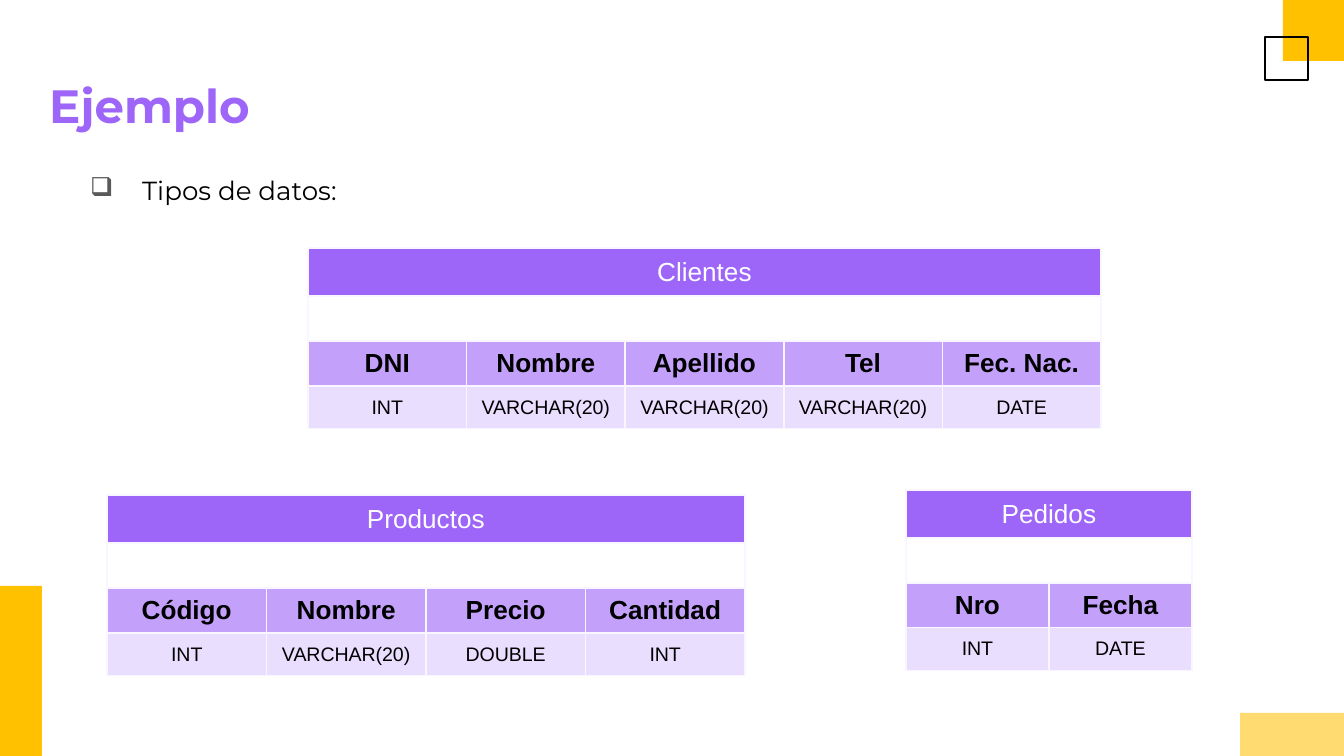
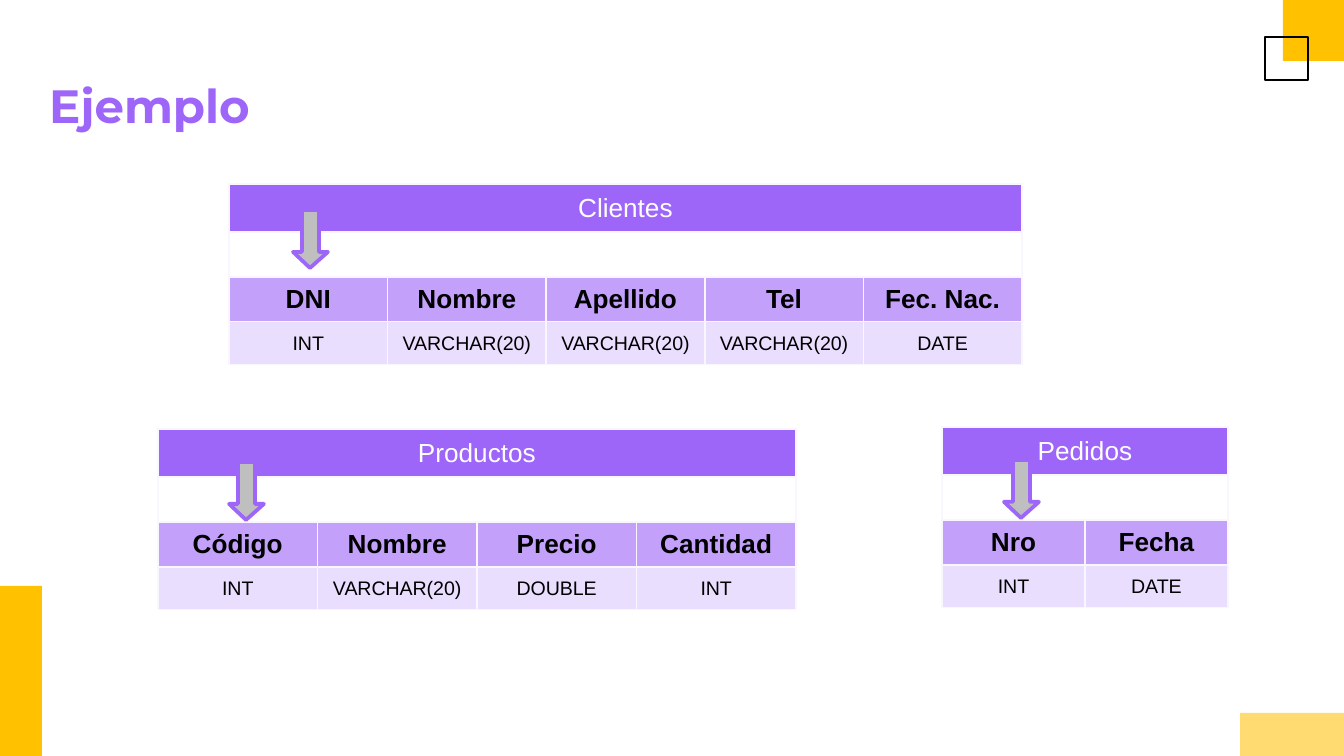
from lxml import etree
from pptx import Presentation
from pptx import util as u
from pptx.dml.color import RGBColor
from pptx.enum import shapes, text
from pptx.oxml import ns

PX = 9144000 / 1344

HEX = {
    "gold": "FFC100", "sand": "FFDB71", "violet": "9D66F9",
    "lilac": "C3A1FB", "pale": "EADEFE", "edge": "F9F6FF",
    "white": "FFFFFF", "black": "000000", "gray": "BFBFBF", "bullet": "595959",
}

TITLE = {"name": "Montserrat", "size": u.Pt(25), "bold": True}
BODY = {"name": "Montserrat", "size": u.Pt(14), "bold": False}
NAME = {"name": "Arial", "size": u.Pt(14), "bold": False}
FIELD = {"name": "Arial", "size": u.Pt(14), "bold": True}
TYPE = {"name": "Arial", "size": u.Pt(10.5), "bold": False}

# table name: (width, fields, types)
TABLES = {
    "Clientes": (793, ["DNI", "Nombre", "Apellido", "Tel", "Fec. Nac."],
                 ["INT", "VARCHAR(20)", "VARCHAR(20)", "VARCHAR(20)", "DATE"]),
    "Productos": (638, ["Código", "Nombre", "Precio", "Cantidad"],
                  ["INT", "VARCHAR(20)", "DOUBLE", "INT"]),
    "Pedidos": (286, ["Nro", "Fecha"], ["INT", "DATE"]),
}
ROWS = (48, 27, 43, 43)
ARROW = [(9, 0), (9, 42), (0, 42), (17, 58), (35, 42), (26, 42), (26, 0)]


def px(n):
    return u.Emu(round(n * PX))


def rgb(key):
    return RGBColor.from_string(HEX[key])


def apply(item, form):
    for key, val in form.items():
        setattr(item, key, val)


def write(par, words, form, color):
    run = par.add_run()
    run.text = words
    apply(run.font, form)
    run.font.color.rgb = rgb(color)


def paint(shape, fill=None, line=None, width=1.5):
    shape.shadow.inherit = False
    if fill:
        shape.fill.solid()
        shape.fill.fore_color.rgb = rgb(fill)
    else:
        shape.fill.background()
    if line:
        shape.line.color.rgb = rgb(line)
        shape.line.width = u.Pt(width)
    else:
        shape.line.fill.background()


def box(slide, area, **look):
    shape = slide.shapes.add_shape(shapes.MSO_SHAPE.RECTANGLE, *map(px, area))
    paint(shape, **look)


def label(slide, area, words, form, color):
    frame = slide.shapes.add_textbox(*map(px, area)).text_frame
    inset = u.Inches(0.1)
    apply(frame, {"word_wrap": True, "margin_left": inset, "margin_right": inset,
                  "margin_top": inset, "margin_bottom": inset})
    write(frame.paragraphs[0], words, form, color)
    return frame.paragraphs[0]


def bullet(par, mark, color, indent):
    prop = par._p.get_or_add_pPr()
    prop.set("marL", str(px(indent)))
    prop.set("indent", str(-px(indent)))
    tint = etree.SubElement(prop, ns.qn("a:buClr"))
    etree.SubElement(tint, ns.qn("a:srgbClr"), val=HEX[color])
    etree.SubElement(prop, ns.qn("a:buChar"), char=mark)


def border(cell):
    prop = cell._tc.get_or_add_tcPr()
    for pos, side in enumerate(("lnL", "lnR", "lnT", "lnB")):
        line = etree.Element(ns.qn("a:" + side), w=str(u.Pt(1)))
        fill = etree.SubElement(line, ns.qn("a:solidFill"))
        etree.SubElement(fill, ns.qn("a:srgbClr"), val=HEX["edge"])
        prop.insert(pos, line)


def fill_cell(cell, words, form, color, back):
    cell.fill.solid()
    cell.fill.fore_color.rgb = rgb(back)
    border(cell)
    cell.vertical_anchor = text.MSO_ANCHOR.MIDDLE
    par = cell.text_frame.paragraphs[0]
    par.alignment = text.PP_ALIGN.CENTER
    if words:
        write(par, words, form, color)
    else:
        end = etree.SubElement(par._p, ns.qn("a:endParaRPr"))
        end.set("sz", str(round(form["size"].pt * 100)))


def schema(slide, name, left, top):
    """Table with a name band, an empty band, field names and data types."""
    width, fields, types = TABLES[name]
    count = len(fields)
    area = map(px, (left, top, width, sum(ROWS)))
    grid = slide.shapes.add_table(len(ROWS), count, *area).table
    apply(grid, {"first_row": False, "horz_banding": False})
    for col in grid.columns:
        col.width = px(width / count)
    blank = [""] * (count - 1)
    plan = [([name] + blank, NAME, "white", "violet"),
            ([""] + blank, NAME, "black", "white"),
            (fields, FIELD, "black", "lilac"),
            (types, TYPE, "black", "pale")]
    for row, (words, form, color, back) in enumerate(plan):
        grid.rows[row].height = px(ROWS[row])
        for col, word in enumerate(words):
            fill_cell(grid.cell(row, col), word, form, color, back)
    for row in (0, 1):
        grid.cell(row, 0).merge(grid.cell(row, count - 1))


def arrow(slide, left, top):
    pts = [(left + x, top + y) for x, y in ARROW]
    path = slide.shapes.build_freeform(*pts[0], scale=PX)
    path.add_line_segments(pts[1:], close=True)
    paint(path.convert_to_shape(), fill="gray", line="violet", width=2)


def page(deck, spots):
    """Slide with the shared corners, the title and tables at the spots."""
    slide = deck.slides.add_slide(deck.slide_layouts[6])
    box(slide, (1283, 0, 61, 61), fill="gold")
    box(slide, (0, 586, 42, 170), fill="gold")
    box(slide, (1265, 37, 43, 43), line="black")
    box(slide, (1240, 713, 104, 43), fill="sand")
    label(slide, (36, 63, 1273, 85), "Ejemplo", TITLE, "violet")
    for name, spot in zip(TABLES, spots):
        schema(slide, name, *spot)
    return slide


def main():
    deck = Presentation()
    apply(deck, {"slide_width": px(1344), "slide_height": px(756)})

    types = page(deck, [(308, 248), (107, 495), (906, 490)])
    par = label(types, (77, 161, 1243, 60), "Tipos de datos:", BODY, "black")
    bullet(par, "❑", "bullet", 52)

    keys = page(deck, [(229, 184), (158, 429), (942, 427)])
    for spot in [(293, 210), (229, 462), (1004, 460)]:
        arrow(keys, *spot)

    deck.save("out.pptx")


if __name__ == "__main__":
    main()
